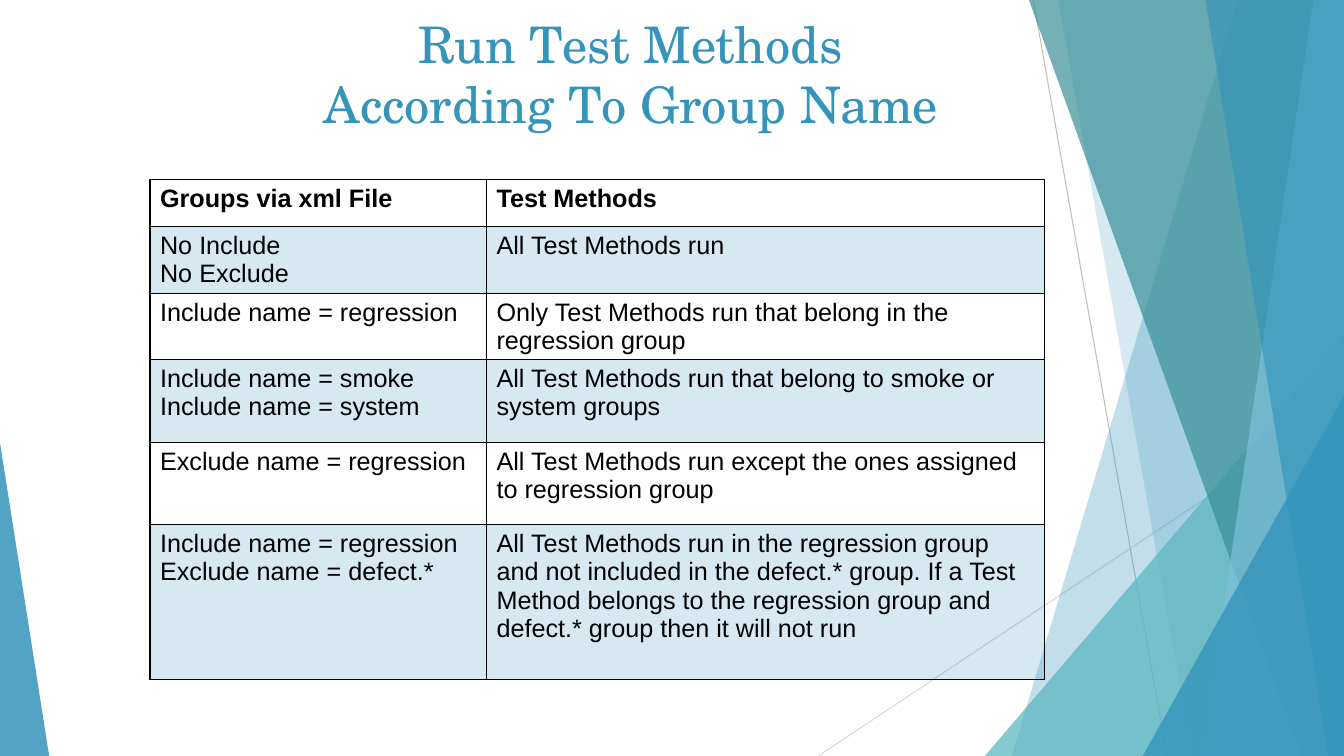
import pptx
import pptx.util
import pptx.dml.color
import pptx.enum.shapes
import pptx.enum.text
import pptx.oxml
import pptx.oxml.ns

Cm, Pt = pptx.util.Cm, pptx.util.Pt
RGB = pptx.dml.color.RGBColor
Kind = pptx.enum.shapes.MSO_SHAPE
Align = pptx.enum.text.PP_ALIGN
qn = pptx.oxml.ns.qn

BLUE = RGB(0x34, 0x94, 0xBA)
SKY = RGB(0x7E, 0xC0, 0xDB)
AQUA = RGB(0x58, 0xB6, 0xC0)
TEAL = RGB(0x39, 0x8F, 0x98)
GREY = RGB(0xBF, 0xBF, 0xBF)
PALE = RGB(0xD8, 0xD8, 0xD8)
BLACK = RGB(0, 0, 0)
WIDE, HIGH = 33.87, 19.05

ROWS = [
    (["Groups via xml File"], "Test Methods"),
    (["No Include", "No Exclude"], "All Test Methods run"),
    (["Include name = regression"],
     "Only Test Methods run that belong in the regression group"),
    (["Include name = smoke", "Include name = system"],
     "All Test Methods run that belong to smoke or system groups"),
    (["Exclude name = regression"],
     "All Test Methods run except the ones assigned to regression group"),
    (["Include name = regression", "Exclude name = defect.*"],
     "All Test Methods run in the regression group and not included in the "
     "defect.* group. If a Test Method belongs to the regression group and "
     "defect.* group then it will not run"),
]


def tint(fill, node, color, alpha):
    fill.solid()
    fill.fore_color.rgb = color
    mark = node.find(".//" + qn("a:srgbClr")).makeelement(
        qn("a:alpha"), {"val": str(alpha * 1000)})
    node.find(".//" + qn("a:srgbClr")).append(mark)


def paint(shape, color, alpha):
    shape.shadow.inherit = False
    tint(shape.fill, shape._element.spPr, color, alpha)
    shape.line.fill.background()


def write(frame, lines, font, size, color, bold=False, align=Align.LEFT):
    frame.word_wrap = True
    for i, line in enumerate(lines):
        para = frame.add_paragraph() if i else frame.paragraphs[0]
        para.alignment = align
        run = para.add_run()
        run.text = line
        run.font.name, run.font.size = font, Pt(size)
        run.font.bold, run.font.color.rgb = bold, color


def wedge(shapes, left, top, width, height, lean, color, alpha):
    shape = shapes.add_shape(Kind.ISOSCELES_TRIANGLE,
                             Cm(left), Cm(top), Cm(width), Cm(height))
    shape.adjustments[0] = lean
    paint(shape, color, alpha)


def add_art(shapes, left, top, width, height):
    right, base = left + width, top + height

    # Thin lines
    for x1, y1, x2, color in [(1.24, 0, 4.61, GREY),
                              (width, 10.24, -4.18, PALE)]:
        line = shapes.add_connector(
            pptx.enum.shapes.MSO_CONNECTOR.STRAIGHT,
            Cm(left + x1), Cm(top + y1), Cm(left + x2), Cm(base))
        line.line.color.rgb, line.line.width = color, Pt(0.75)
        prop = line._element.spPr
        prop.append(prop.makeelement(qn("a:effectLst"), {}))

    # Bands that reach the right edge, given by top and bottom corner
    def band(high, low, color, alpha):
        path = shapes.build_freeform(Cm(left + high), Cm(top))
        path.add_line_segments([(Cm(right), Cm(top)), (Cm(right), Cm(base)),
                                (Cm(left + low), Cm(base))])
        paint(path.convert_to_shape(), color, alpha)

    # Corner wedges, given by left and top offset
    def corner(x, y, color, alpha):
        wedge(shapes, left + x, top + y, width - x, height - y,
              1, color, alpha)

    band(6.39, 0.7, BLUE, 30)
    band(1.87, 5.25, BLUE, 20)
    corner(0.02, 8.46, AQUA, 72)
    band(1.13, 7.99, TEAL, 70)
    band(8.3, 5.48, SKY, 70)
    band(5.58, 8.68, BLUE, 65)
    corner(4, 9.98, BLUE, 80)


def add_title(shapes, left, top, width, height):
    title = shapes.title
    title.left, title.top = Cm(left), Cm(top)
    title.width, title.height = Cm(width), Cm(height)
    frame = title.text_frame
    frame.auto_size = pptx.enum.text.MSO_AUTO_SIZE.NONE
    frame.vertical_anchor = pptx.enum.text.MSO_ANCHOR.TOP
    write(frame, ["Run Test Methods", "According To Group Name"],
          "TeX Gyre Schola", 36, BLUE, align=Align.CENTER)
    for para in frame.paragraphs:
        para.space_before = Pt(0)


def edge(cell):
    prop = cell._tc.get_or_add_tcPr()
    for i, side in enumerate(["lnL", "lnR", "lnT", "lnB"]):
        prop.insert(i, pptx.oxml.parse_xml(
            f'<a:{side} {pptx.oxml.ns.nsdecls("a")} w="12700"><a:solidFill>'
            f'<a:srgbClr val="{BLACK}"/></a:solidFill></a:{side}>'))


def add_rules(shapes, left, top, widths, heights):
    table = shapes.add_table(len(ROWS), len(widths), Cm(left), Cm(top),
                             Cm(sum(widths)), Cm(sum(heights))).table
    table.horz_banding = False
    for col, size in zip(table.columns, widths):
        col.width = Cm(size)
    for r, (groups, result) in enumerate(ROWS):
        table.rows[r].height = Cm(heights[r])
        for c, lines in enumerate([groups, [result]]):
            cell = table.cell(r, c)
            write(cell.text_frame, lines, "Arial", 18, BLACK, bold=r == 0)
            if r % 2:
                tint(cell.fill, cell._tc.get_or_add_tcPr(), BLUE, 20)
            else:
                cell.fill.background()
            edge(cell)


deck = pptx.Presentation()
deck.slide_width, deck.slide_height = Cm(WIDE), Cm(HIGH)
shapes = deck.slides.add_slide(deck.slide_layouts[5]).shapes
add_art(shapes, 24.8, 0, WIDE - 24.8, HIGH)
wedge(shapes, 0, 11.15, 1.24, HIGH - 11.15, 0, BLUE, 85)
add_title(shapes, 0, 0.2, 31.8, 2.87)
add_rules(shapes, 3.78, 4.52, [8.48, 14.07],
          [1.19, 1.19, 1.19, 2.08, 2.08, 3.89])
deck.save("out.pptx")
